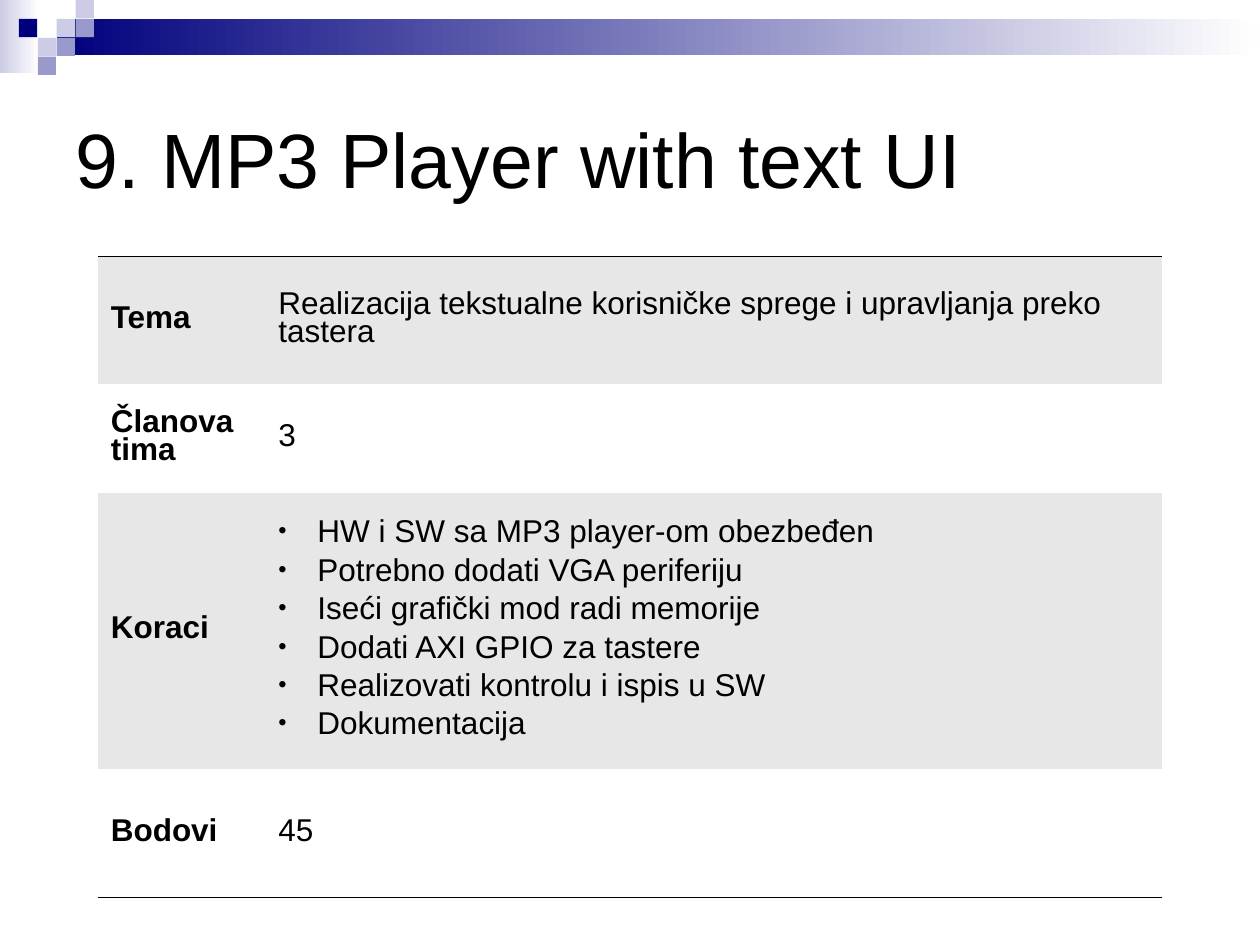
from lxml.etree import SubElement
from pptx import Presentation
from pptx.dml.color import RGBColor
from pptx.enum.shapes import MSO_SHAPE
from pptx.enum.text import MSO_ANCHOR, PP_ALIGN
from pptx.oxml.ns import qn
from pptx.util import Inches, Pt

TITLE = "9. MP3 Player with text UI"
TOPICS = [
    ("Tema", ["Realizacija tekstualne korisničke sprege i upravljanja preko tastera"], 1.02),
    ("Članova tima", ["3"], 0.86),
    ("Koraci", [
        "HW i SW sa MP3 player-om obezbeđen",
        "Potrebno dodati VGA periferiju",
        "Iseći grafički mod radi memorije",
        "Dodati AXI GPIO za tastere",
        "Realizovati kontrolu i ispis u SW",
        "Dokumentacija",
    ], 2.19),
    ("Bodovi", ["45"], 1.02),
]
COLUMN_WIDTHS = (1.33, 7.11)
NAVY, LAVENDER, PERIWINKLE = "00007D", "CCCCE6", "9999CC"
BLACK, WHITE, BAND = "000000", "FFFFFF", "E7E7E7"
FADES = [((0, 0, 0.31, 0.58), LAVENDER), ((0.45, 0.15, 9.54, 0.29), NAVY)]
SQUARE, STEP = 0.145, 0.15
MOSAIC = [
    (3, 1, LAVENDER), (4, 0, LAVENDER), (4, 1, PERIWINKLE), (2, 2, LAVENDER),
    (1, 1, NAVY), (3, 2, PERIWINKLE), (2, 3, PERIWINKLE),
]


def rgb(value):
    return RGBColor.from_string(value)


def add_block(slide, box, color, fades=False):
    block = slide.shapes.add_shape(MSO_SHAPE.RECTANGLE, *map(Inches, box))
    block.shadow.inherit = False
    block.line.fill.background()
    if fades:
        block.fill.gradient()
        block.fill.gradient_angle = 0
        for stop, shade, position in zip(block.fill.gradient_stops, (color, WHITE), (0, 1)):
            stop.color.rgb = rgb(shade)
            stop.position = position
    else:
        block.fill.solid()
        block.fill.fore_color.rgb = rgb(color)


def set_font(paragraph, size, bold=False):
    font = paragraph.font
    font.name, font.size, font.bold = "Arial", Pt(size), bold
    font.color.rgb = rgb(BLACK)


def add_bullet(paragraph):
    paragraph.space_after = Pt(6)
    props = paragraph._p.get_or_add_pPr()
    props.set("marL", str(Inches(0.31)))
    props.set("indent", str(-Inches(0.31)))
    SubElement(SubElement(props, qn("a:buClr")), qn("a:srgbClr"), val=BLACK)
    SubElement(props, qn("a:buSzPct"), val="75000")
    SubElement(props, qn("a:buFont"), typeface="Arial")
    SubElement(props, qn("a:buChar"), char="•")


def set_borders(cell, ruled):
    props = cell._tc.get_or_add_tcPr()
    for side in ("lnL", "lnR", "lnT", "lnB"):
        border = SubElement(props, qn(f"a:{side}"), w=str(Pt(0.06)))
        if side in ruled:
            SubElement(SubElement(border, qn("a:solidFill")), qn("a:srgbClr"), val=BLACK)
        else:
            SubElement(border, qn("a:noFill"))


def fill_cell(cell, lines, color, ruled, bold):
    set_borders(cell, ruled)
    cell.fill.solid()
    cell.fill.fore_color.rgb = rgb(color)
    cell.vertical_anchor = MSO_ANCHOR.MIDDLE
    cell.text = "\n".join(lines)
    for paragraph in cell.text_frame.paragraphs:
        paragraph.line_spacing = 0.79
        if len(lines) > 1:
            add_bullet(paragraph)
        set_font(paragraph, 18, bold)


def add_topics(slide):
    heights = [height for _, _, height in TOPICS]
    table = slide.shapes.add_table(
        len(TOPICS), len(COLUMN_WIDTHS), Inches(0.78), Inches(2.03),
        Inches(sum(COLUMN_WIDTHS)), Inches(sum(heights)),
    ).table
    table.first_row = table.horz_banding = False
    for column, width in zip(table.columns, COLUMN_WIDTHS):
        column.width = Inches(width)
    rules = {0: ["lnT"], len(TOPICS) - 1: ["lnB"]}
    for index, (label, lines, height) in enumerate(TOPICS):
        table.rows[index].height = Inches(height)
        color = WHITE if index % 2 else BAND
        for col, content in enumerate(([label], lines)):
            fill_cell(table.cell(index, col), content, color, rules.get(index, []), col == 0)


def main():
    deck = Presentation()
    deck.slide_width, deck.slide_height = Inches(10), Inches(7.5)
    slide = deck.slides.add_slide(deck.slide_layouts[5])
    for box, color in FADES:
        add_block(slide, box, color, fades=True)
    for col, row, color in MOSAIC:
        add_block(slide, (col * STEP, row * STEP, SQUARE, SQUARE), color)
    title = slide.shapes.title
    title.left, title.top, title.width, title.height = map(Inches, (0.5, 0.5, 9, 1.5))
    title.text_frame.text = TITLE
    title.text_frame.vertical_anchor = MSO_ANCHOR.MIDDLE
    heading = title.text_frame.paragraphs[0]
    heading.alignment = PP_ALIGN.LEFT
    set_font(heading, 44)
    add_topics(slide)
    deck.save("out.pptx")


if __name__ == "__main__":
    main()
